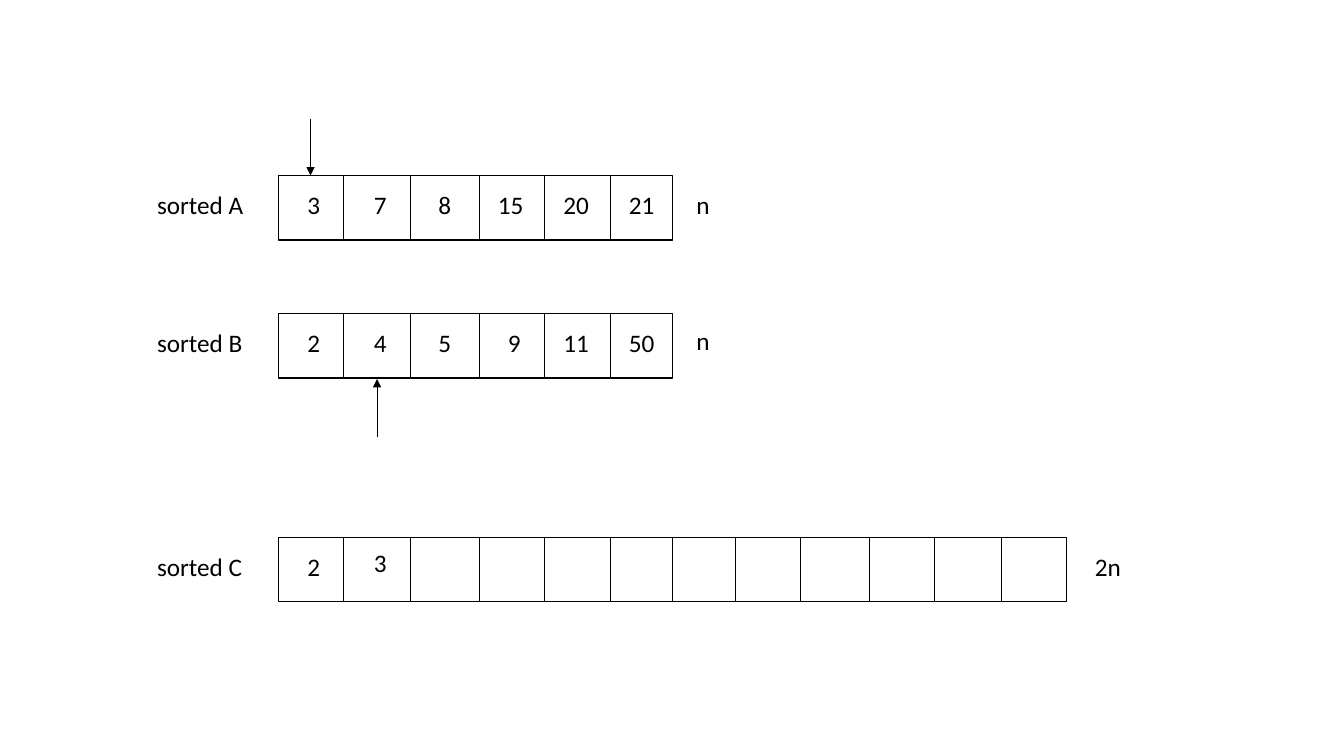
from lxml import etree
from pptx import Presentation
from pptx.dml.color import RGBColor
from pptx.enum.shapes import MSO_CONNECTOR, MSO_SHAPE
from pptx.oxml.ns import qn
from pptx.util import Inches, Pt

RECTANGLE = MSO_SHAPE.RECTANGLE
STRAIGHT = MSO_CONNECTOR.STRAIGHT
BLANK_LAYOUT = 6

COLORS = {"ink": "000000", "cell": "FFFFFF"}
FONT = {"name": "Calibri", "size": Pt(18)}

# Geometry in inches, shared by all arrays
ARRAY_LEFT, ARRAY_WIDTH, ARRAY_HEIGHT = 2.76, 3.91, 0.64
LABEL_LEFT, LENGTH_LEFT = 1.46, 6.81
TEXT_HEIGHT, TEXT_DROP = 0.47, 0.09
VALUE_CENTERS = [0.32, 0.98, 1.62, 2.31, 2.96, 3.61]
DIVIDERS = [0.65, 1.31, 1.99, 2.64, 3.29]
SECOND_HALF_DIVIDERS = [0.62, 1.27, 1.95, 2.6, 3.26]


def color(name):
    return RGBColor.from_string(COLORS[name])


def add_text(slide, text, left, top, width, wrap=True):
    box = slide.shapes.add_textbox(
        Inches(left), Inches(top), Inches(width), Inches(TEXT_HEIGHT))
    box.text_frame.word_wrap = wrap
    run = box.text_frame.paragraphs[0].add_run()
    run.text = text
    for attribute, value in FONT.items():
        setattr(run.font, attribute, value)
    run.font.color.rgb = color("ink")


def add_line(slide, x, start, end, arrow=False):
    line = slide.shapes.add_connector(
        STRAIGHT, Inches(x), Inches(start), Inches(x), Inches(end))
    line.line.color.rgb = color("ink")
    line.line.width = Pt(0.5)
    if arrow:
        tip = etree.SubElement(line.line._get_or_add_ln(), qn("a:tailEnd"))
        tip.set("type", "triangle")
    etree.SubElement(line._element.spPr, qn("a:effectLst"))


def add_cells(slide, left, top, dividers):
    frame = slide.shapes.add_shape(
        RECTANGLE, Inches(left), Inches(top),
        Inches(ARRAY_WIDTH), Inches(ARRAY_HEIGHT))
    frame.shadow.inherit = False
    frame.fill.solid()
    frame.fill.fore_color.rgb = color("cell")
    frame.line.color.rgb = color("ink")
    frame.line.width = Pt(1)
    for offset in dividers:
        add_line(slide, left + offset, top, top + ARRAY_HEIGHT)


def add_value(slide, value, column, top):
    width = 0.26 if len(value) == 1 else 0.46
    left = ARRAY_LEFT + VALUE_CENTERS[column] - width / 2
    add_text(slide, value, left, top, width)


def add_array(slide, label, top, values):
    add_cells(slide, ARRAY_LEFT, top, DIVIDERS)
    add_text(slide, label, LABEL_LEFT, top + TEXT_DROP, 1.07, wrap=False)
    for column, value in enumerate(values):
        add_value(slide, value, column, top + TEXT_DROP)


def main():
    deck = Presentation()
    deck.slide_width, deck.slide_height = Inches(13.33), Inches(7.5)
    slide = deck.slides.add_slide(deck.slide_layouts[BLANK_LAYOUT])

    # Sorted inputs and their lengths
    add_array(slide, "sorted A", 1.74, ["3", "7", "8", "15", "20", "21"])
    add_text(slide, "n", LENGTH_LEFT, 1.83, 0.34, wrap=False)
    add_array(slide, "sorted B", 3.11, ["2", "4", "5", "9", "11", "50"])
    add_text(slide, "n", LENGTH_LEFT, 3.18, 0.34, wrap=False)

    # Merged output, twice as long; its newest value sits slightly higher
    merged_top = 5.33
    add_array(slide, "sorted C", merged_top, ["2"])
    add_cells(slide, ARRAY_LEFT + ARRAY_WIDTH, merged_top, SECOND_HALF_DIVIDERS)
    add_value(slide, "3", 1, 5.38)
    add_text(slide, "2n", 10.76, merged_top + TEXT_DROP, 1.54)

    # Pointers to the current elements of A and B
    add_line(slide, 3.08, 1.18, 1.74, arrow=True)
    add_line(slide, 3.74, 4.34, 3.76, arrow=True)

    deck.save("out.pptx")


main()
